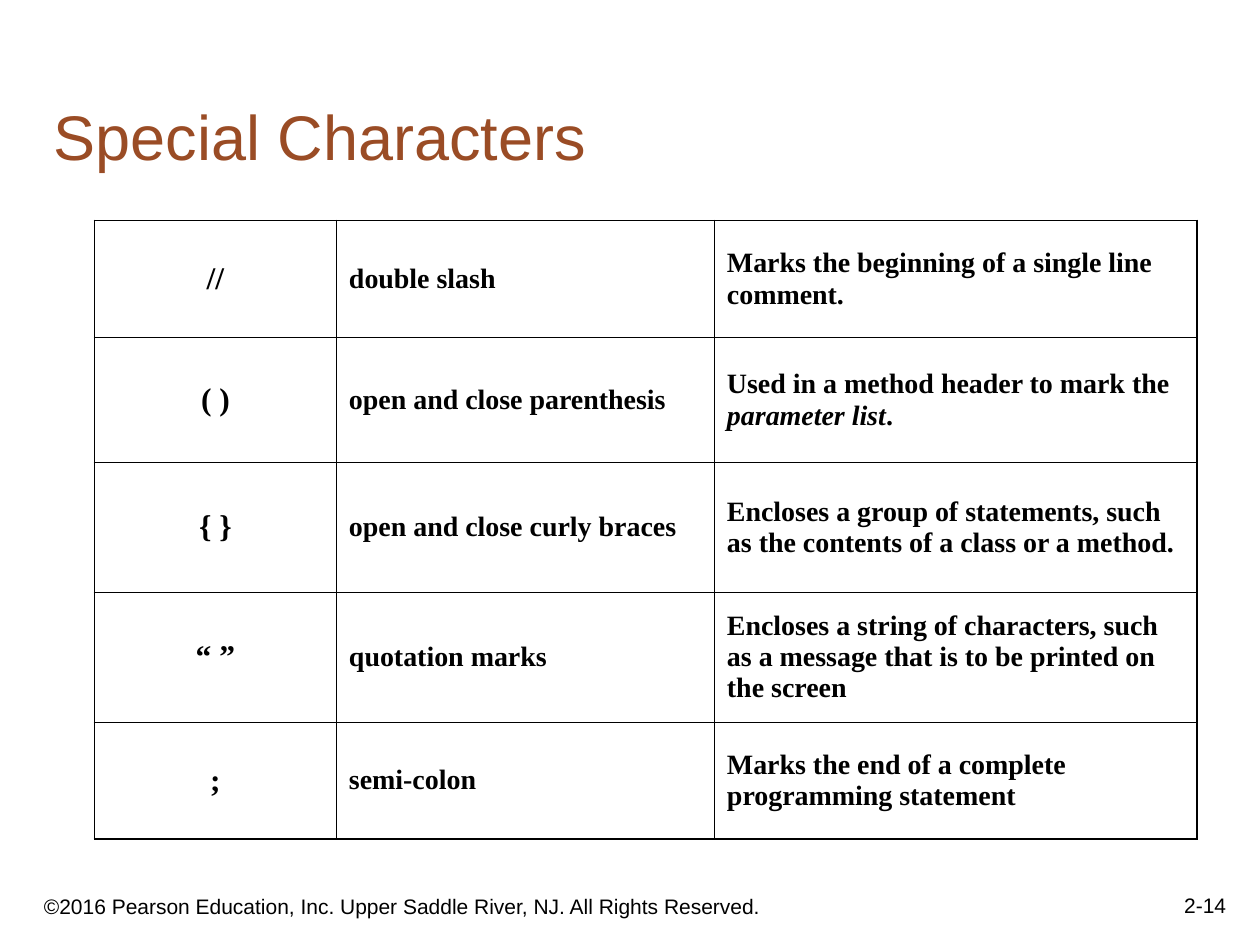
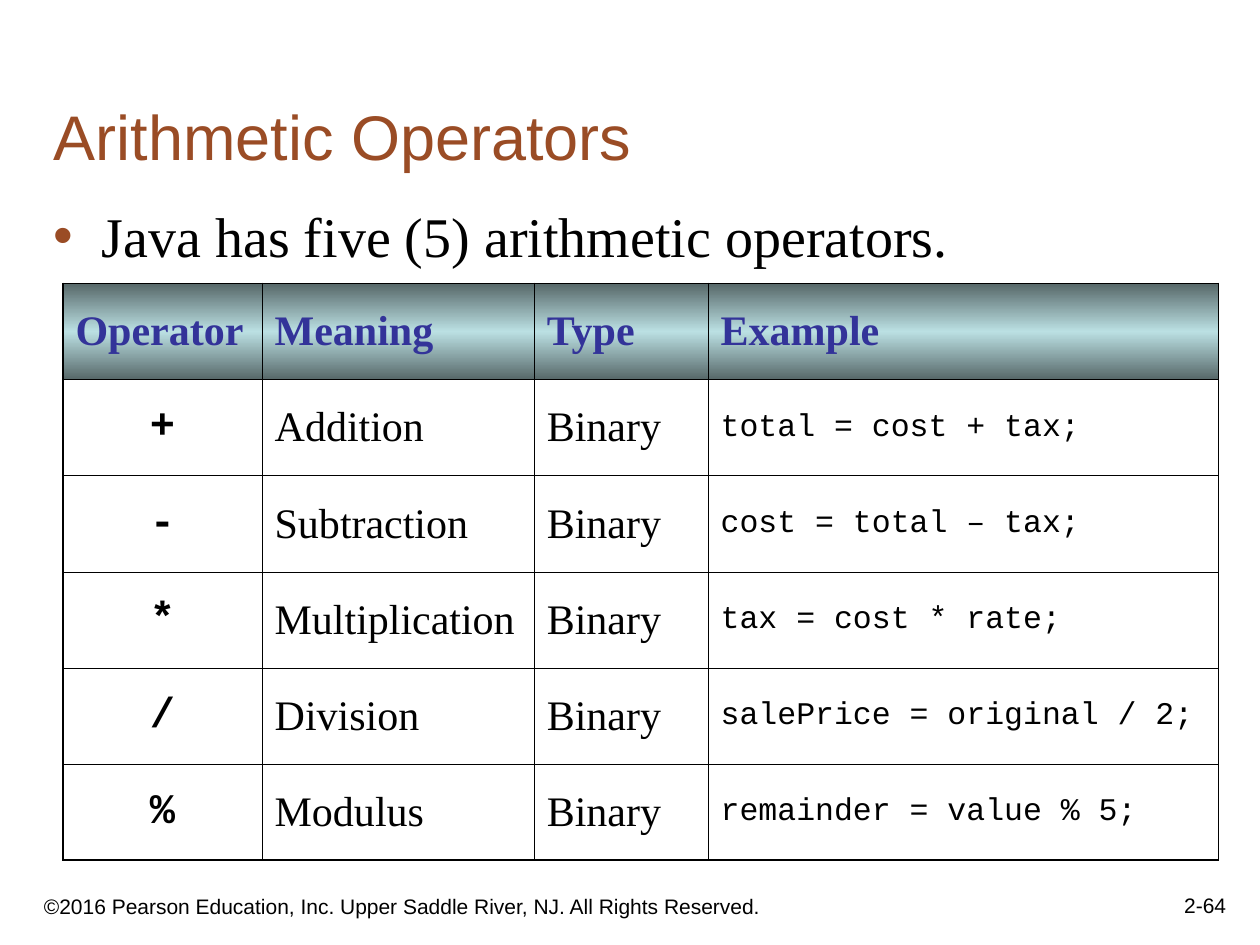
from collections import namedtuple
from copy import deepcopy

from lxml import etree
from pptx import Presentation
from pptx import util as u
from pptx.dml.color import RGBColor
from pptx.enum import text
from pptx.oxml import ns

BLACK = RGBColor(0x00, 0x00, 0x00)
RUST = RGBColor(0x9A, 0x4C, 0x25)
INDIGO = RGBColor(0x33, 0x33, 0x99)
TEAL = RGBColor(0x57, 0x68, 0x69)
AQUA = RGBColor(0xBB, 0xE0, 0xE3)

SANS, SERIF, MONO = "Arial", "Times New Roman", "Courier New"
LEFT, CENTER, RIGHT = text.PP_ALIGN.LEFT, text.PP_ALIGN.CENTER, text.PP_ALIGN.RIGHT
THIN, THICK = u.Pt(0.45), u.Pt(1.08)

Style = namedtuple("Style", "font size color bold align", defaults=(BLACK, False, LEFT))

TITLE = Style(SANS, 36, RUST)
FOOTER = Style(SANS, 12)
PAGE_NUMBER = Style(SANS, 12, align=RIGHT)
BODY = Style(SERIF, 32)
SYMBOL = Style(SERIF, 18, bold=True, align=CENTER)
DESCRIPTION = Style(SERIF, 16, bold=True)
HEADER = Style(SERIF, 24, INDIGO, bold=True)
OPERATOR = Style(MONO, 24, bold=True, align=CENTER)
TERM = Style(SERIF, 24)
CODE = Style(MONO, 18)

COPYRIGHT = "©2016 Pearson Education, Inc. Upper Saddle River, NJ. All Rights Reserved."

SPECIAL_CHARACTERS = [
    ("//", "double slash", "Marks the beginning of a single line comment."),
    ("( )", "open and close parenthesis",
     ("Used in a method header to mark the ", "parameter list", ".")),
    ("{ }", "open and close curly braces",
     "Encloses a group of statements, such as the contents of a class or a method."),
    ("“ ”", "quotation marks",
     "Encloses a string of characters, such as a message that is to be printed on the screen"),
    (";", "semi-colon", "Marks the end of a complete programming statement"),
]

OPERATOR_HEADINGS = ("Operator", "Meaning", "Type", "Example")
OPERATORS = [
    ("+", "Addition", "Binary", "total = cost + tax;"),
    ("-", "Subtraction", "Binary", "cost = total – tax;"),
    ("*", "Multiplication", "Binary", "tax = cost * rate;"),
    ("/", "Division", "Binary", "salePrice = original / 2;"),
    ("%", "Modulus", "Binary", "remainder = value % 5;"),
]


class LectureDeck:
    """Builds lecture pages that share a title style and a footer."""

    def __init__(self):
        self.deck = Presentation()
        self.deck.slide_width, self.deck.slide_height = u.Inches(10), u.Inches(7.5)
        self.page = None

    def add_page(self, title, number):
        self.page = self.deck.slides.add_slide(self.deck.slide_layouts[6])
        bottom = text.MSO_ANCHOR.BOTTOM
        self.add_text(COPYRIGHT, FOOTER, (0.25, 6.92, 6.08, 0.42), bottom)
        self.add_text(number, PAGE_NUMBER, (7.75, 6.83, 2.08, 0.5), bottom)
        self.add_text(title, TITLE, (0.33, 0.33, 9.42, 1.09), bottom)

    def add_text(self, words, style, place, anchor=text.MSO_ANCHOR.TOP):
        box = self.page.shapes.add_textbox(*map(u.Inches, place))
        box.text_frame.word_wrap = True
        box.text_frame.vertical_anchor = anchor
        self.fill_text(box.text_frame, words, style)
        return box

    def fill_text(self, frame, words, style):
        para = frame.paragraphs[0]
        para.alignment = style.align
        parts = (words,) if isinstance(words, str) else words
        for index, part in enumerate(parts):
            span = para.add_run()
            span.text = part
            span.font.name, span.font.size = style.font, u.Pt(style.size)
            span.font.bold, span.font.color.rgb = style.bold, style.color
            if index % 2:
                span.font.italic = True

    def add_bullet(self, words, place):
        box = self.add_text(words, BODY, place)
        box.text_frame.margin_top, box.text_frame.margin_right = u.Inches(0.1), 0
        properties = box.text_frame.paragraphs[0]._p.get_or_add_pPr()
        properties.set("marL", str(u.Inches(0.38)))
        properties.set("indent", str(-u.Inches(0.38)))
        color = etree.SubElement(properties, ns.qn("a:buClr"))
        etree.SubElement(color, ns.qn("a:srgbClr"), val=str(RUST))
        etree.SubElement(properties, ns.qn("a:buFont"), typeface=SANS)
        etree.SubElement(properties, ns.qn("a:buChar"), char="•")

    def add_table(self, rows, styles, corner, widths, heights, headings=None):
        records = ([headings] if headings else []) + rows
        size = (sum(widths), sum(heights))
        frame = self.page.shapes.add_table(
            len(records), len(widths), *map(u.Inches, corner + size))
        table = frame.table
        table.first_row = table.horz_banding = False
        for column, width in zip(table.columns, widths):
            column.width = u.Inches(width)
        for row, height in zip(table.rows, heights):
            row.height = u.Inches(height)
        last_row, last_column = len(records) - 1, len(widths) - 1
        for r, record in enumerate(records):
            for c, words in enumerate(record):
                cell = table.cell(r, c)
                cell.vertical_anchor = text.MSO_ANCHOR.MIDDLE
                is_heading = bool(headings) and r == 0
                self.fill_text(cell.text_frame, words, HEADER if is_heading else styles[c])
                self.add_borders(cell, {
                    "L": c == 0, "R": c == last_column, "T": r == 0, "B": r == last_row})
                if is_heading:
                    self.shade(cell)
                else:
                    cell.fill.background()

    def add_borders(self, cell, outer_sides):
        properties = cell._tc.get_or_add_tcPr()
        for side, is_outer in outer_sides.items():
            line = etree.SubElement(
                properties, ns.qn("a:ln" + side), w=str(THICK if is_outer else THIN))
            fill = etree.SubElement(line, ns.qn("a:solidFill"))
            etree.SubElement(fill, ns.qn("a:srgbClr"), val=str(BLACK))

    def shade(self, cell):
        cell.fill.gradient()
        cell.fill.gradient_angle = 90
        stop_list = cell._tc.tcPr.find(".//" + ns.qn("a:gsLst"))
        stop_list.append(deepcopy(stop_list[0]))
        shades = zip(cell.fill.gradient_stops, (0, 0.5, 1), (TEAL, AQUA, TEAL))
        for stop, position, color in shades:
            stop.position, stop.color.rgb = position, color


def main():
    lecture = LectureDeck()

    lecture.add_page("Special Characters", "2-14")
    lecture.add_table(
        SPECIAL_CHARACTERS, (SYMBOL, DESCRIPTION, DESCRIPTION), (0.75, 1.75),
        (1.92, 3, 3.83), (0.93, 0.99, 1.03, 1.03, 0.93))

    lecture.add_page("Arithmetic Operators", "2-64")
    lecture.add_bullet("Java has five (5) arithmetic operators.", (0.33, 1.5, 9.07, 5))
    lecture.add_table(
        OPERATORS, (OPERATOR, TERM, TERM, CODE), (0.5, 2.25),
        (1.58, 2.16, 1.38, 4.05), [4.58 / 6] * 6, OPERATOR_HEADINGS)

    lecture.deck.save("out.pptx")


if __name__ == "__main__":
    main()
